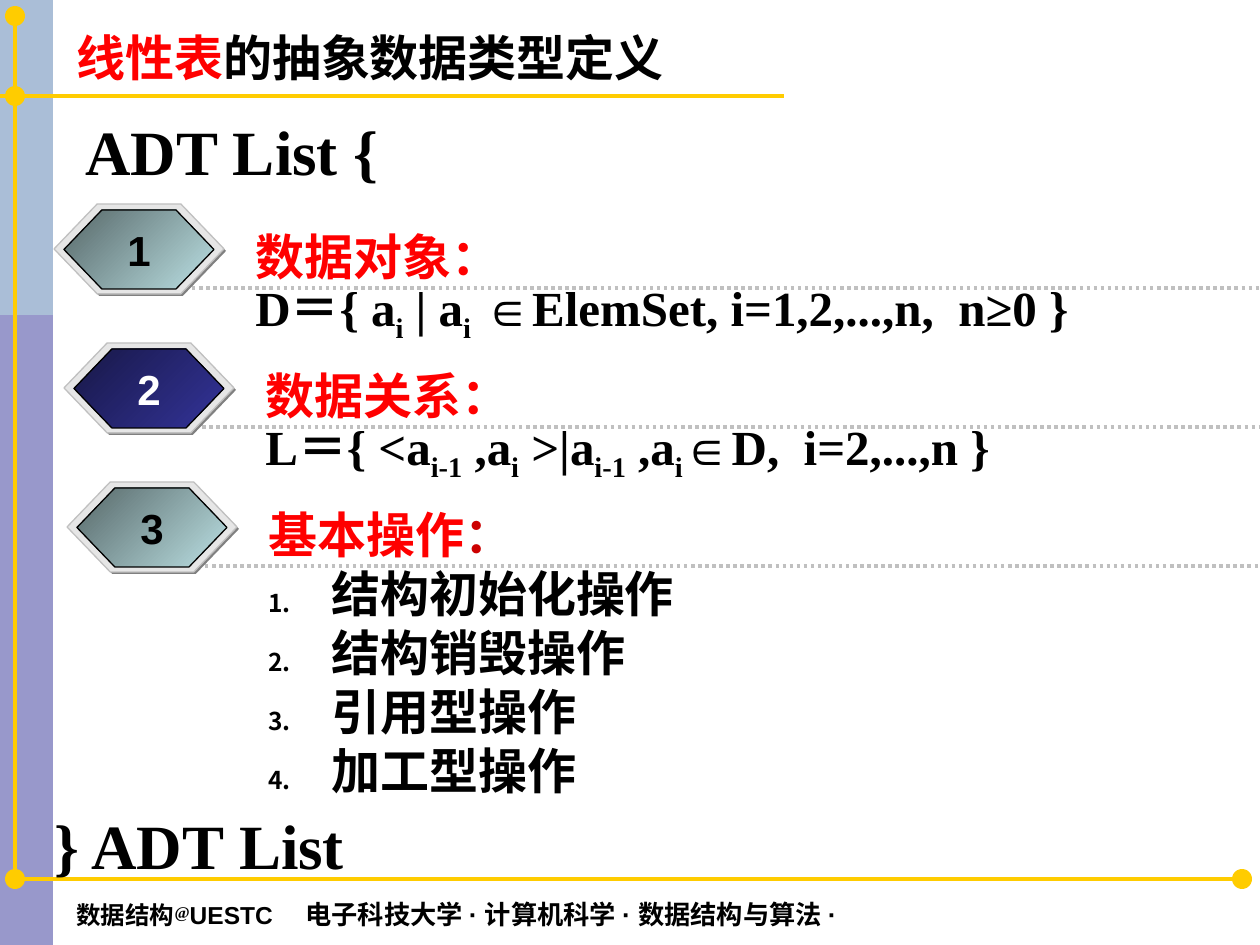
"""Build the slide defining the linear list as an abstract data type."""
from lxml.etree import SubElement
from pptx import Presentation
from pptx.dml.color import RGBColor
from pptx.enum.dml import MSO_LINE
from pptx.enum.shapes import MSO_CONNECTOR, MSO_SHAPE
from pptx.enum.text import MSO_ANCHOR, PP_ALIGN
from pptx.oxml.ns import qn
from pptx.util import Emu, Pt

PX = 914400 / 126
CJK, SANS, SERIF = "Noto Sans CJK SC", "Arial", "Times New Roman"
BLACK, RED, GOLD, SILVER = "000000", "FF0000", "FFCC00", "C0C0C0"


def rgb(value):
    return RGBColor.from_string(value)


def write(box, paragraphs, wrap=True):
    frame = box.text_frame
    frame.word_wrap = wrap
    for number, runs in enumerate(paragraphs):
        paragraph = frame.paragraphs[0] if number == 0 else frame.add_paragraph()
        for text, size, face, colour, *baseline in runs:
            run = paragraph.add_run()
            run.text = text
            run.font.size = Pt(size)
            run.font.bold = True
            run.font.color.rgb = rgb(colour)
            run.font.name = face
            properties = run._r.get_or_add_rPr()
            SubElement(properties, qn("a:ea"), typeface=CJK)
            if baseline:
                properties.set("baseline", str(baseline[0] * 1000))
    return frame


prs = Presentation()
prs.slide_width, prs.slide_height = Emu(int(1260 * PX)), Emu(int(945 * PX))
slide = prs.slides.add_slide(prs.slide_layouts[6])
shapes = slide.shapes

for height, colour, opacity in ((945, "333399", 50), (315, "BBE0E3", 53)):
    band = shapes.add_shape(MSO_SHAPE.RECTANGLE, 0, 0, int(53 * PX), int(height * PX))
    band.shadow.inherit = False
    band.line.fill.background()
    band.fill.solid()
    band.fill.fore_color.rgb = rgb("333399" if height == 945 else "BBE0E3")
    tint = band.fill._xPr.find(qn("a:solidFill"))[0]
    SubElement(tint, qn("a:alpha"), val=str(opacity * 1000))

groups = [(54, 204), (64, 343), (67, 482)]
rules = [(25, 879, 1245, 879, GOLD), (0, 96, 784, 96, GOLD), (15, 879, 15, 16, GOLD)]
rules += [(left + 138, top + 84, 1285, top + 84, SILVER) for left, top in groups]
for x1, y1, x2, y2, colour in rules:
    rule = shapes.add_connector(MSO_CONNECTOR.STRAIGHT, *(int(v * PX) for v in (x1, y1, x2, y2)))
    rule.line.width = Pt(2)
    rule.line.color.rgb = rgb(colour)
    if colour == SILVER:
        rule.line.dash_style = MSO_LINE.ROUND_DOT
        SubElement(rule.line._ln, qn("a:tailEnd"), type="oval")
    SubElement(rule._element.spPr, qn("a:effectLst"))

for left, top in ((5, 869), (1232, 869), (5, 86), (5, 6)):
    knot = shapes.add_shape(MSO_SHAPE.OVAL, *(int(v * PX) for v in (left, top, 20, 20)))
    knot.shadow.inherit = False
    knot.line.fill.background()
    knot.fill.solid()
    knot.fill.fore_color.rgb = rgb(GOLD)

footer = [
    ("数据结构", 14, SANS, BLACK), ("@", 16, SERIF, BLACK, 20), ("UESTC\t", 14, SANS, BLACK),
    ("电子科技大学 ", 15, CJK, BLACK), ("· ", 15, SANS, BLACK), ("计算机科学 ", 15, CJK, BLACK),
    ("· ", 15, SANS, BLACK), ("数据结构与算法 ", 15, CJK, BLACK), ("·", 15, SANS, BLACK),
]
title = [("线性表", 28, SANS, RED), ("的抽象数据类型定义", 28, SANS, BLACK)]
lines = [
    ((64, 16, 953, 82), title, True),
    ((73, 106, 353, 88), [("ADT List {", 36, SERIF, BLACK)], True),
    ((42, 800, 319, 88), [("} ADT List", 36, SERIF, BLACK)], False),
    ((64, 890, 823, 37), footer, True),
]
for place, runs, wrap in lines:
    frame = write(shapes.add_textbox(*(int(v * PX) for v in place)), [runs], wrap)
    if runs is title:
        frame.vertical_anchor = MSO_ANCHOR.MIDDLE
    if runs is footer:
        tabs = SubElement(frame.paragraphs[0]._p.get_or_add_pPr(), qn("a:tabLst"))
        SubElement(tabs, qn("a:tab"), pos=str(int(229 * PX)), algn="l")

domain = [("D＝{ a", 0), ("i", -25), (" | a", 0), ("i", -25), (" ∈ElemSet, i=1,2,...,n,  n≥0 }", 0)]
relation = [
    ("L＝{ <a", 0), ("i-1", -25), (" ,a", 0), ("i", -25), (" >|a", 0),
    ("i-1", -25), (" ,a", 0), ("i", -25), ("∈D,  i=2,...,n }", 0),
]
domain, relation = (
    [(text, 28, SERIF, BLACK, shift) for text, shift in formula] for formula in (domain, relation)
)
operations = ["结构初始化操作", "结构销毁操作", "引用型操作", "加工型操作"]
sections = [
    [[("数据对象", 28, CJK, RED), ("：", 28, CJK, RED)], domain],
    [[("数据关系：", 28, CJK, RED)], relation],
    [[("基本操作", 28, SANS, RED), ("：", 28, SANS, "CC0000")]]
    + [[(operation, 28, SANS, BLACK)] for operation in operations],
]
badges = [("576869", "BBE0E3", BLACK), ("181847", "333399", "FFFFFF"), ("576869", "BBE0E3", BLACK)]

for index, ((left, top), section, badge) in enumerate(zip(groups, sections, badges)):
    dark, light, digit_colour = badge
    layers = [
        (left + 2, top + 2, 170, 90, "808080", None),
        (left, top, 170, 90, "E6E6E6", SILVER),
        (left + 10, top + 6, 150, 79, None, BLACK),
    ]
    for *place, fill, outline in layers:
        hexagon = shapes.add_shape(MSO_SHAPE.HEXAGON, *(int(v * PX) for v in place))
        hexagon.shadow.inherit = False
        hexagon.adjustments[0] = 0.48
        if fill:
            hexagon.fill.solid()
            hexagon.fill.fore_color.rgb = rgb(fill)
        else:
            hexagon.fill.gradient()
            hexagon.fill.gradient_angle = 315
            for stop, position, shade in zip(hexagon.fill.gradient_stops, (0, 1), (dark, light)):
                stop.position = position
                stop.color.rgb = rgb(shade)
        if outline:
            hexagon.line.color.rgb = rgb(outline)
            hexagon.line.width = Pt(0.75)
        else:
            hexagon.line.fill.background()

    place = (left + 189, top + 11, 876, 307 if index == 2 else 139)
    frame = write(shapes.add_textbox(*(int(v * PX) for v in place)), section)
    frame.margin_top = int(11 * PX)
    for paragraph in frame.paragraphs:
        paragraph.line_spacing = Pt(33.75)
        if paragraph.text in operations:
            properties = paragraph._p.get_or_add_pPr()
            properties.set("marL", str(int(63 * PX)))
            properties.set("indent", str(int(-63 * PX)))
            bullet_colour = SubElement(properties, qn("a:buClr"))
            SubElement(bullet_colour, qn("a:srgbClr"), val=BLACK)
            SubElement(properties, qn("a:buSzPct"), val="50000")
            SubElement(properties, qn("a:buFont"), typeface=CJK)
            SubElement(properties, qn("a:buAutoNum"), type="arabicPeriod")

    place = (left + 61, top + 14, 48, 63)
    digit = [(str(index + 1), 24, SANS, digit_colour)]
    frame = write(shapes.add_textbox(*(int(v * PX) for v in place)), [digit], False)
    frame.paragraphs[0].alignment = PP_ALIGN.CENTER

if slide.shapes[0].has_text_frame:
    prs.save("out.pptx")
